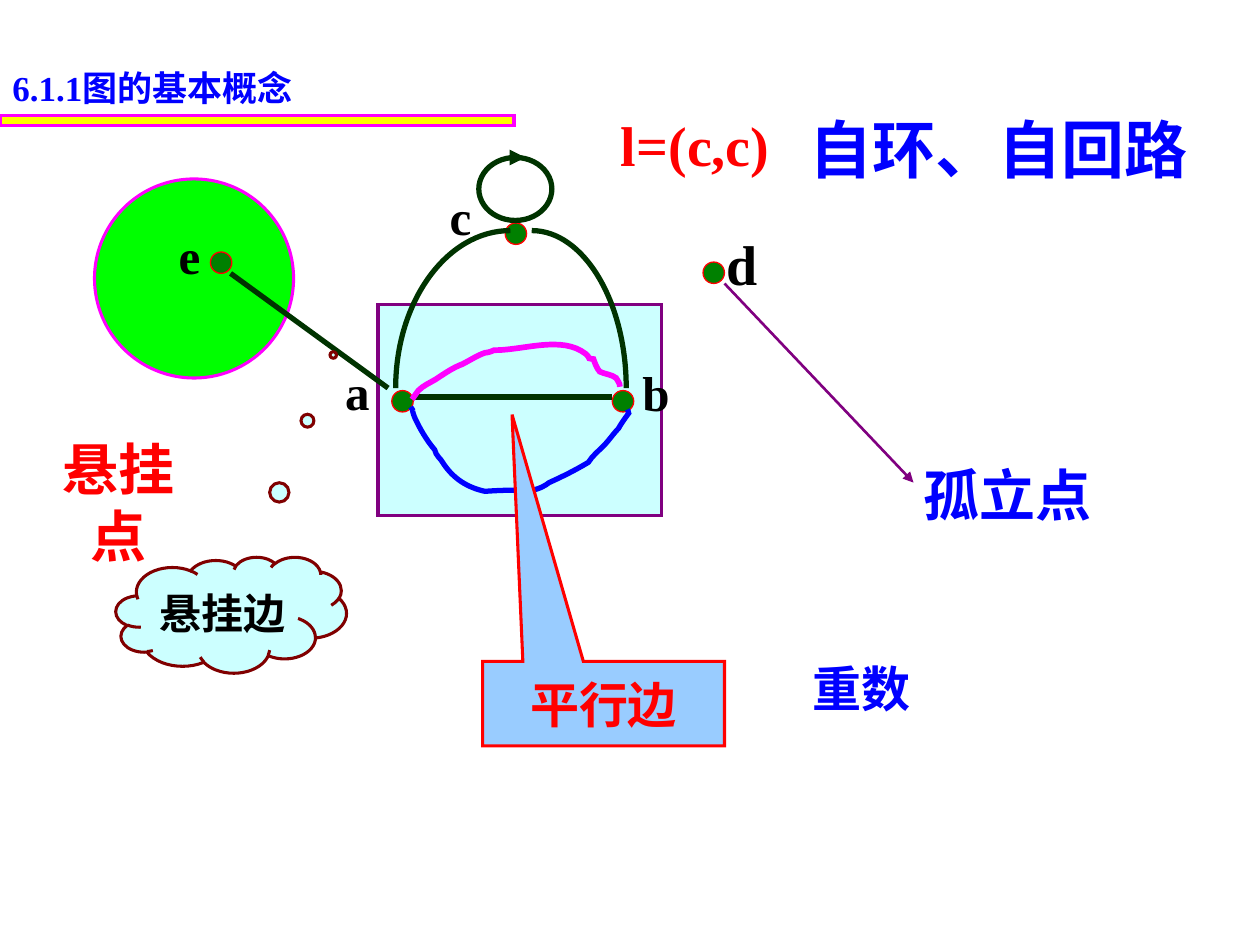
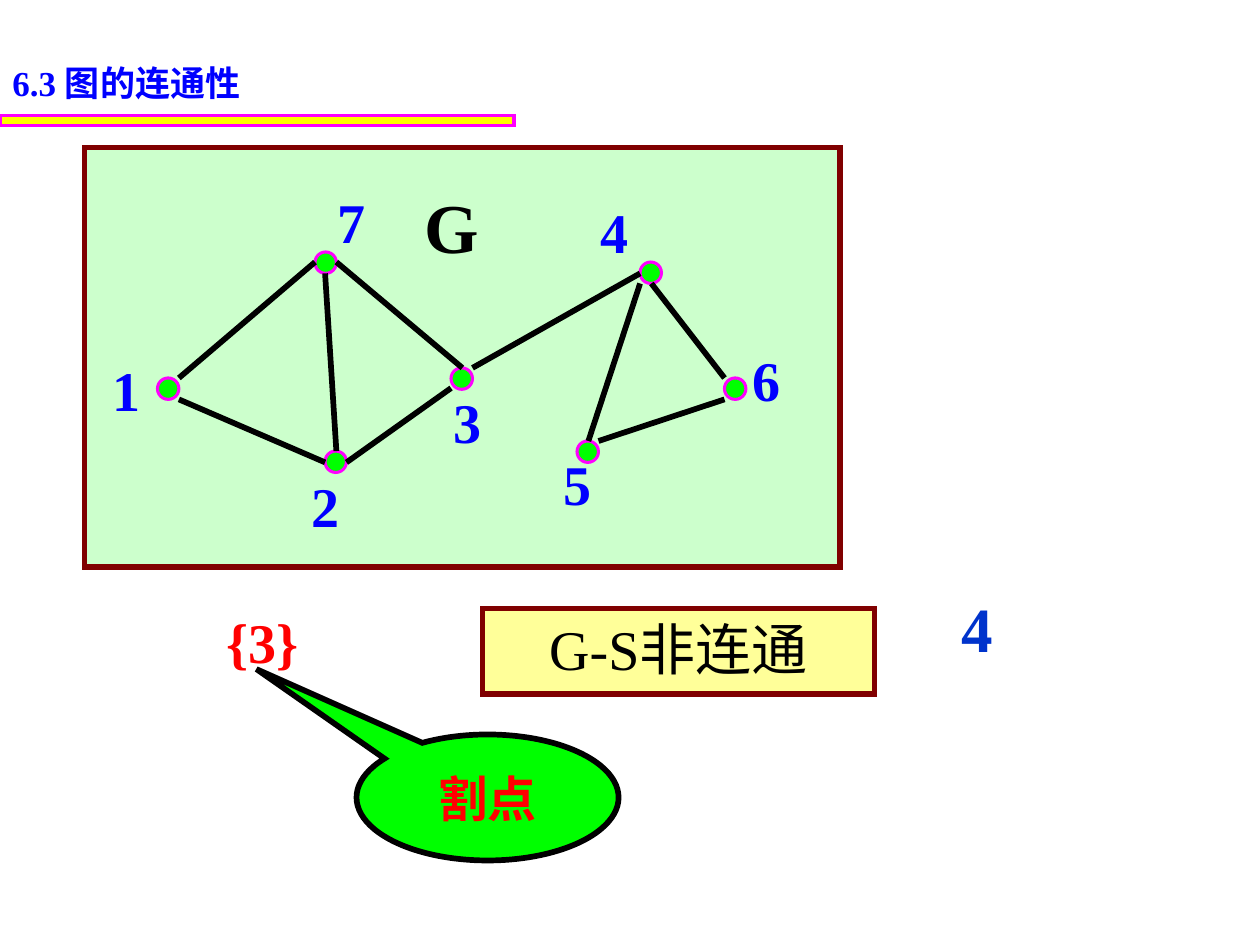
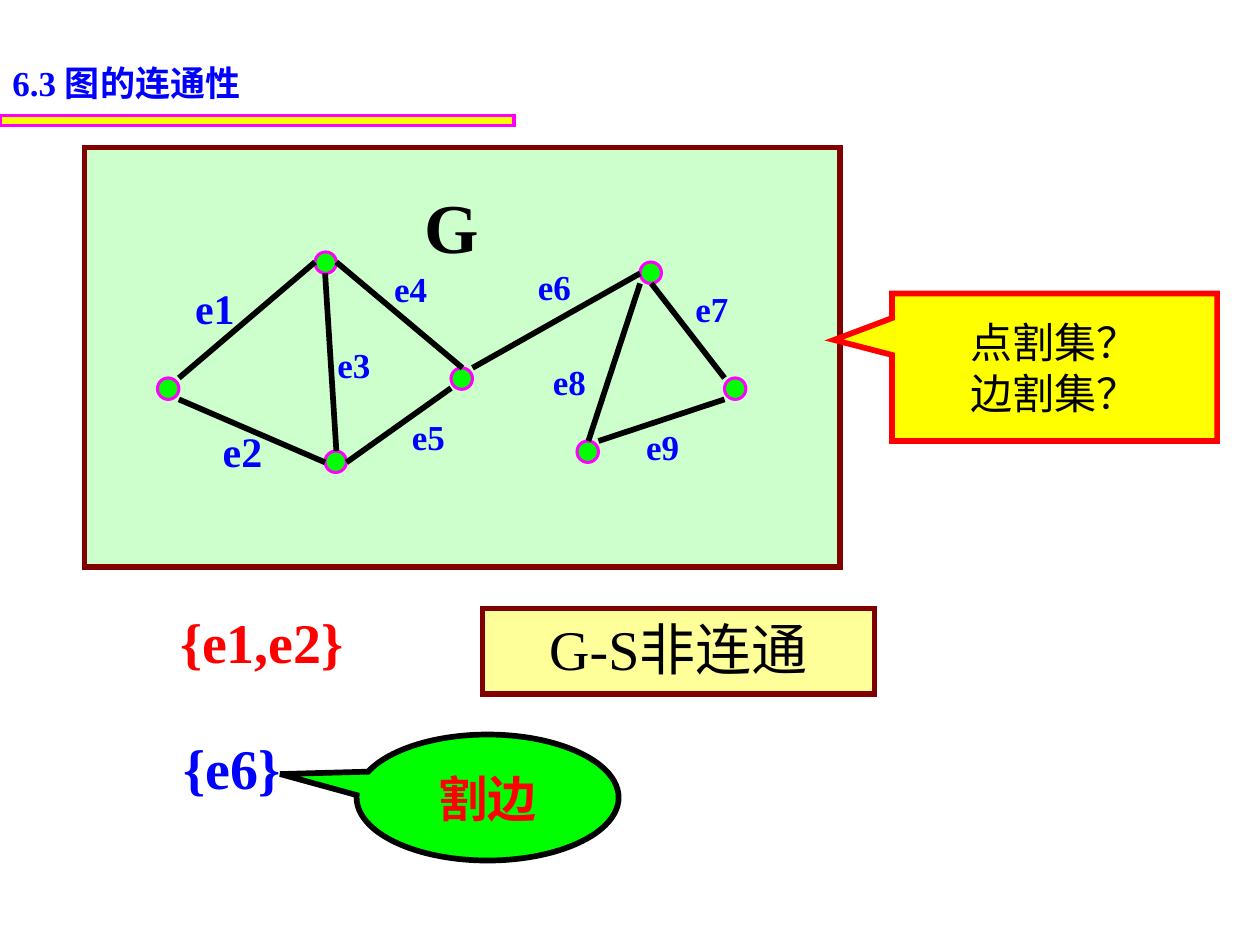
import lxml.etree
import pptx
import pptx.dml.color
import pptx.enum.shapes
import pptx.enum.text
import pptx.oxml.ns
import pptx.util

PX = 9144
MSO = pptx.enum.shapes.MSO_SHAPE
ALIGN = pptx.enum.text.PP_ALIGN
qn = pptx.oxml.ns.qn
C = {
    "black": "000000", "blue": "0000FF", "red": "FF0000",
    "magenta": "FF00FF", "yellow": "FFFF00", "lime": "00FF00", "green": "008000",
    "edge": "003300", "maroon": "800000", "purple": "800080", "aqua": "CCFFFF",
    "mint": "CCFFCC", "cream": "FFFF99", "sky": "99CCFF", "royal": "0033CC",
}
RGB = {name: pptx.dml.color.RGBColor.from_string(value) for name, value in C.items()}


def style(sp, fill, line, width):
    sp.shadow.inherit = False
    if fill:
        sp.fill.solid()
        sp.fill.fore_color.rgb = RGB[fill]
    else:
        sp.fill.background()
    sp.line.color.rgb = RGB[line]
    sp.line.width = pptx.util.Pt(width)
    lxml.etree.SubElement(sp.element.spPr.find(qn("a:ln")), qn("a:miter"), lim="800000")


def write(sp, text, size, color, align=ALIGN.CENTER, wrap=True, bold=True, cjk="Arial"):
    tf = sp.text_frame
    tf.word_wrap = wrap
    tf.text = text.replace("|", "")
    for p, row in zip(tf.paragraphs, text.split("\n")):
        p.alignment = align
        pieces = row.split("|")
        p.text = pieces[0]
        for piece in pieces[1:]:
            p.add_run().text = piece
        for r in p.runs:
            r.font.name = "Times New Roman" if r.text[0].isascii() else cjk
            r.font.size = pptx.util.Pt(size)
            r.font.bold = bold
            r.font.color.rgb = RGB[color]


prs = pptx.Presentation()
prs.slide_width, prs.slide_height = 1000 * PX, 750 * PX
basics, cut_point, cut_edge = [prs.slides.add_slide(prs.slide_layouts[6]) for _ in range(3)]
cuts = [cut_point, cut_edge]

shapes = [
    (basics, MSO.RECTANGLE, (300, 242, 225, 167), "aqua", "purple", 1.75),
    (basics, MSO.OVAL, (75, 142, 158, 158), "lime", "magenta", 1.75),
]
shapes += [(s, MSO.RECTANGLE, (0, 92, 408, 8), "yellow", "magenta", 1.75) for s in prs.slides]
for x, y in [(486, 310), (311, 310), (401, 177), (558, 208), (167, 200)]:
    shapes.append((basics, MSO.OVAL, (x, y, 17, 17), "green", "red", 0.75))
shapes.append((basics, MSO.OVAL, (380, 125, 58, 50), None, "edge", 3))
for s in cuts:
    shapes.append((s, MSO.RECTANGLE, (67, 117, 600, 333), "mint", "maroon", 3.25))
    for x, y in [(250, 200), (258, 358), (125, 300), (358, 292), (508, 208), (458, 350), (575, 300)]:
        shapes.append((s, MSO.OVAL, (x, y, 17, 17), "lime", "magenta", 1.75))
for s, kind, box, fill, line, width in shapes:
    sp = s.shapes.add_shape(kind, *[v * PX for v in box])
    style(sp, fill, line, width)

lines = [
    (basics, (328, 315, 486, 315), "edge", 3, False),
    (basics, (408, 125, 417, 125), "edge", 3, True),
    (basics, (575, 225, 725, 383), "purple", 1.5, True),
    (basics, (183, 217, 308, 308), "edge", 3, False),
]
graph_edges = [
    (142, 300, 250, 208), (142, 317, 258, 367), (267, 208, 367, 292),
    (275, 367, 358, 308), (258, 217, 267, 358), (375, 292, 508, 217),
    (508, 225, 467, 350), (517, 225, 575, 300), (475, 350, 575, 317),
]
lines += [(s, ends, "black", 3.25, False) for s in cuts for ends in graph_edges]
for s, ends, color, width, arrow in lines:
    ln = s.shapes.add_connector(pptx.enum.shapes.MSO_CONNECTOR.STRAIGHT, *[v * PX for v in ends])
    ln.line.color.rgb = RGB[color]
    ln.line.width = pptx.util.Pt(width)
    spPr = ln.element.spPr
    if arrow:
        lxml.etree.SubElement(spPr.find(qn("a:ln")), qn("a:tailEnd"), type="triangle")
    lxml.etree.SubElement(spPr, qn("a:effectLst"))

curves = [
    ("edge", 3, [(422, 183), (463, 183), (497, 239), (497, 308)]),
    ("edge", 3, [(405, 183), (355, 183), (314, 239), (314, 308)]),
    ("blue", 3, [
        (326, 323), (331, 331), (325, 320), (329, 331), (333, 340), (339, 350), (345, 357),
        (346, 362), (350, 364), (352, 368), (360, 380), (371, 387), (385, 390),
        (398, 389), (410, 389), (423, 389), (428, 388), (432, 386), (436, 383),
        (447, 378), (457, 373), (467, 367), (470, 362), (475, 358), (479, 354),
        (483, 350), (487, 344), (491, 340), (493, 336), (499, 328), (499, 328),
        (499, 327), (498, 325), (498, 325)]),
    ("magenta", 3.25, [
        (327, 317), (329, 315), (330, 312), (332, 310), (336, 306), (341, 304), (346, 301),
        (352, 297), (359, 292), (367, 289), (373, 286), (379, 282), (385, 280),
        (388, 280), (392, 278), (392, 278), (416, 278), (446, 266), (465, 281),
        (470, 286), (465, 284), (471, 285), (472, 288), (474, 293), (476, 295),
        (480, 297), (485, 297), (489, 300), (490, 302), (492, 304), (492, 307)]),
]
for color, width, knots in curves:
    fb = basics.shapes.build_freeform(*knots[0], scale=PX)
    fb.add_line_segments(knots[1:], close=False)
    sp = fb.convert_to_shape()
    style(sp, None, color, width)
    outline = next(sp.element.iter(qn("a:path")))
    segments = outline.findall(qn("a:lnTo"))
    for i in range(0, len(segments), 3):
        bezier = lxml.etree.SubElement(outline, qn("a:cubicBezTo"))
        for segment in segments[i:i + 3]:
            bezier.append(segment[0])
            outline.remove(segment)

callouts = [
    (basics, MSO.CLOUD_CALLOUT, (92, 442, 183, 92), (0.443, -2.242), "aqua", "maroon", 1.75,
     "悬挂边", 24, "black", True),
    (basics, MSO.RECTANGULAR_CALLOUT, (383, 525, 192, 67), (-0.378, -3.424), "sky", "red", 1.75,
     "平行边", 28, "red", True),
    (cut_point, MSO.OVAL_CALLOUT, (283, 583, 208, 100), (-0.882, -1.019), "lime", "black", 3.25,
     "割点", 28, "red", True),
    (cut_edge, MSO.OVAL_CALLOUT, (283, 583, 208, 100), (-0.792, -0.186), "lime", "black", 3.25,
     "割边", 28, "red", True),
    (cut_edge, MSO.RECTANGULAR_CALLOUT, (708, 233, 258, 117), (-0.679, -0.185), "yellow", "red", 3.25,
     "点割集？\n边割集？", 24, "black", False),
]
for s, kind, box, tip, fill, line, width, text, size, color, bold in callouts:
    sp = s.shapes.add_shape(kind, *[v * PX for v in box])
    sp.adjustments[0], sp.adjustments[1] = tip
    style(sp, fill, line, width)
    write(sp, text, size, color, wrap=False, bold=bold)

for s in cuts:
    sp = s.shapes.add_shape(MSO.RECTANGLE, *[v * PX for v in (383, 483, 311, 68)])
    style(sp, "cream", "maroon", 3.25)
    write(sp, "G-S|非连通", 32, "black", bold=False, cjk="Noto Sans CJK SC")
    sp.text_frame.vertical_anchor = pptx.enum.text.MSO_ANCHOR.TOP

L, M = ALIGN.LEFT, ALIGN.CENTER
labels = [
    (basics, (0, 48, 352, 43), "6.1.1|图的基本概念", 20, "blue", L, True),
    (basics, (347, 143, 37, 57), "c", 28, "black", L, False),
    (basics, (264, 282, 40, 57), "a", 28, "black", L, False),
    (basics, (500, 283, 42, 57), "b", 28, "black", L, False),
    (basics, (567, 177, 45, 63), "d", 32, "black", L, False),
    (basics, (483, 83, 138, 63), "l=(c,c)", 32, "red", L, False),
    (basics, (633, 83, 321, 70), "自环、自回路", 36, "blue", L, False),
    (basics, (723, 361, 227, 63), "孤立点", 32, "blue", L, True),
    (basics, (132, 174, 37, 57), "e", 28, "black", M, False),
    (basics, (38, 340, 112, 63), "悬挂点", 32, "red", M, True),
    (basics, (601, 518, 165, 57), "重数", 28, "blue", M, True),
    (cut_point, (170, 477, 77, 63), "{3}", 32, "red", M, False),
    (cut_point, (753, 463, 45, 70), "4", 36, "royal", M, False),
    (cut_edge, (144, 219, 53, 50), "e1", 24, "blue", M, False),
    (cut_edge, (166, 333, 53, 50), "e2", 24, "blue", M, False),
    (cut_edge, (133, 477, 150, 63), "{e1,e2}", 32, "red", M, False),
    (cut_edge, (136, 577, 97, 63), "{e6}", 32, "blue", M, False),
]
for s in cuts:
    labels.append((s, (0, 44, 352, 43), "6.3 图的|连通性", 20, "blue", L, True))
    labels.append((s, (327, 141, 63, 77), "G", 40, "black", M, False))
node_places = [(79, 277), (237, 369), (350, 303), (467, 152), (437, 352), (587, 269), (258, 144)]
for number, (x, y) in enumerate(node_places, 1):
    labels.append((cut_point, (x, y, 42, 63), str(number), 32, "blue", M, False))
edge_places = [(258, 268), (303, 207), (317, 325), (417, 206), (542, 223), (429, 281), (503, 333)]
for number, (x, y) in enumerate(edge_places, 3):
    labels.append((cut_edge, (x, y, 46, 43), f"e{number}", 20, "blue", M, False))
for s, box, text, size, color, align, wrap in labels:
    sp = s.shapes.add_textbox(*[v * PX for v in box])
    write(sp, text, size, color, align, wrap)
    sp.text_frame.auto_size = pptx.enum.text.MSO_AUTO_SIZE.SHAPE_TO_FIT_TEXT

prs.save("out.pptx")
